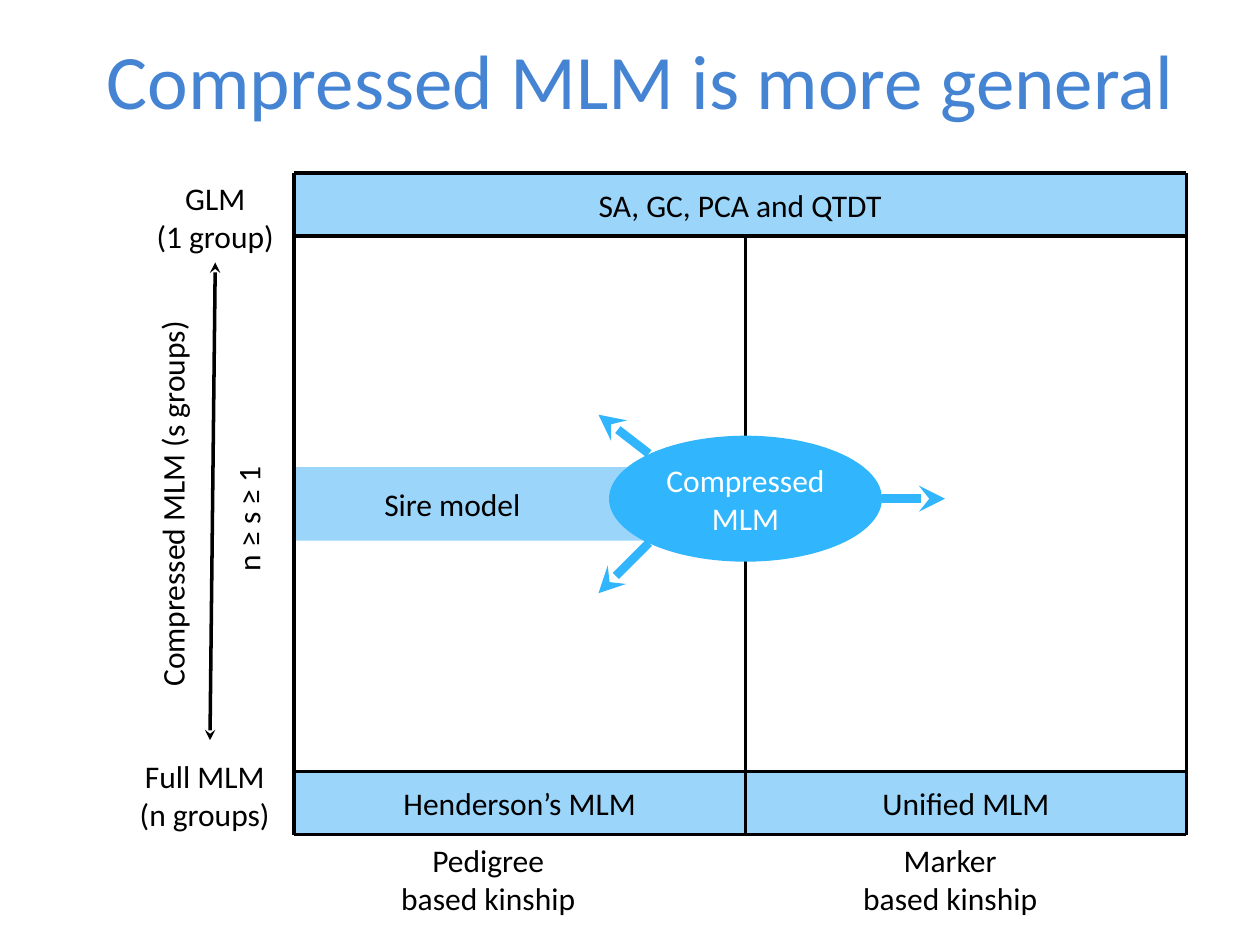
from dataclasses import dataclass

from lxml import etree
from pptx import Presentation
from pptx import util as u
from pptx.dml.color import RGBColor
from pptx.enum import shapes, text
from pptx.oxml.ns import qn


@dataclass(frozen=True)
class Theme:
    font: str = "Calibri"
    title_size: int = 44
    body_size: int = 18
    rule_width: int = 2
    arrow_width: int = 5
    title: str = "4584D3"
    ink: str = "000000"
    light: str = "FFFFFF"
    band: str = "9BD5FA"
    accent: str = "31B6FD"


@dataclass(frozen=True)
class Box:
    """An area in grid cells."""
    left: float
    top: float
    width: float
    height: float

    def inner(self, left, top, width, height):
        return Box(self.left + left, self.top + top, width, height)

    def emu(self):
        return [cells(n) for n in (self.left, self.top, self.width, self.height)]


THEME = Theme()
COLUMNS, ROWS = 120, 90  # twelve cells to the inch
LABEL_HEIGHT = 8.5


def cells(count):
    return u.Inches(count / 12)


def write(shape, lines, color=THEME.ink, size=THEME.body_size,
          anchor=text.MSO_ANCHOR.MIDDLE, align=text.PP_ALIGN.CENTER):
    frame = shape.text_frame
    frame.word_wrap = True
    frame.vertical_anchor = anchor
    frame.text = "\n".join(lines)
    for para in frame.paragraphs:
        para.alignment = align
        for span in para.runs:
            for name, value in {"name": THEME.font, "size": u.Pt(size)}.items():
                setattr(span.font, name, value)
            span.font.color.rgb = RGBColor.from_string(color)


def add_label(page, box, *lines, rotation=0):
    label = page.shapes.add_textbox(*box.emu())
    label.rotation = rotation
    write(label, lines, anchor=text.MSO_ANCHOR.TOP)


def add_block(page, box, words, kind=shapes.MSO_SHAPE.RECTANGLE,
              fill=THEME.band, **style):
    block = page.shapes.add_shape(kind, *box.emu())
    block.shadow.inherit = False
    block.fill.solid()
    block.fill.fore_color.rgb = RGBColor.from_string(fill)
    block.line.fill.background()
    write(block, [words], **style)
    return block


def add_line(page, box, start, end, color=THEME.ink, width=THEME.rule_width, heads=()):
    (x1, y1), (x2, y2) = start, end
    line = page.shapes.add_connector(
        shapes.MSO_CONNECTOR.STRAIGHT,
        cells(box.left + x1), cells(box.top + y1),
        cells(box.left + x2), cells(box.top + y2))
    line.line.color.rgb = RGBColor.from_string(color)
    line.line.width = u.Pt(width)
    for head in heads:
        etree.SubElement(line.get_or_add_ln(), qn(f"a:{head}"), type="stealth")
    etree.SubElement(line.element.spPr, qn("a:effectLst"))


def place_title(page, box, words):
    title = page.shapes.title
    names = ("left", "top", "width", "height")
    for name, value in zip(names, box.emu()):
        setattr(title, name, value)
    write(title, [words], color=THEME.title, size=THEME.title_size)


def place_group_axis(page, box):
    add_label(page, box.inner(2, 0, 17, LABEL_HEIGHT), "GLM", "(1 group)")
    add_label(page, box.inner(0, 55, 19, LABEL_HEIGHT), "Full MLM", "(n groups)")
    add_line(page, box, (10.5, 8.5), (10, 54), heads=("headEnd", "tailEnd"))
    # Captions that read upwards on either side of the arrow
    add_label(page, box.inner(-17.1, 29.1, 47, 4.8),
              "Compressed MLM (s groups)", rotation=270)
    add_label(page, box.inner(-8.4, 30.5, 44, 4.8), "n ≥ s ≥ 1", rotation=270)


def place_model_map(page, box):
    band, middle = 6, 43
    right, bottom = box.width, box.height
    low = bottom - band

    # Bands of known models
    add_block(page, box.inner(0, 0, right, band), "SA, GC, PCA and QTDT")
    add_block(page, box.inner(0, low, middle, band), "Henderson’s MLM")
    add_block(page, box.inner(middle, low, right - middle, band), "Unified MLM")
    sire = add_block(page, box.inner(0, 28, middle, 7), "Sire model",
                     align=text.PP_ALIGN.LEFT)
    sire.text_frame.margin_left = cells(8.6)

    # Frame and dividers
    for row in (0, band, low, bottom):
        add_line(page, box, (right, row), (0, row))
    for column, top in ((0, 0), (middle, band), (right, 0)):
        add_line(page, box, (column, top), (column, bottom))

    # Compressed model, spreading outwards
    add_block(page, box.inner(middle - 13, 25, 26, 12), "Compressed MLM",
              kind=shapes.MSO_SHAPE.OVAL, fill=THEME.accent, color=THEME.light)
    for start, end in (((33.8, 26.7), (29, 23)),
                       ((33.8, 35.2), (29, 40)),
                       ((56, 31), (62, 31))):
        add_line(page, box, start, end, color=THEME.accent,
                 width=THEME.arrow_width, heads=("tailEnd",))


def place_kinship_axis(page, box):
    for left, source in ((0, "Pedigree"), (44, "Marker")):
        add_label(page, box.inner(left, 0, 37, LABEL_HEIGHT), source, "based kinship")


def main():
    deck = Presentation()
    deck.slide_width, deck.slide_height = cells(COLUMNS), cells(ROWS)
    page = deck.slides.add_slide(deck.slide_layouts[5])
    place_title(page, Box(2, 0, 118, 15), "Compressed MLM is more general")
    place_group_axis(page, Box(10, 16.5, 18, 63))
    place_model_map(page, Box(28, 16.5, 85, 63))
    place_kinship_axis(page, Box(28, 79.5, 85, LABEL_HEIGHT))
    deck.save("out.pptx")


if __name__ == "__main__":
    main()
